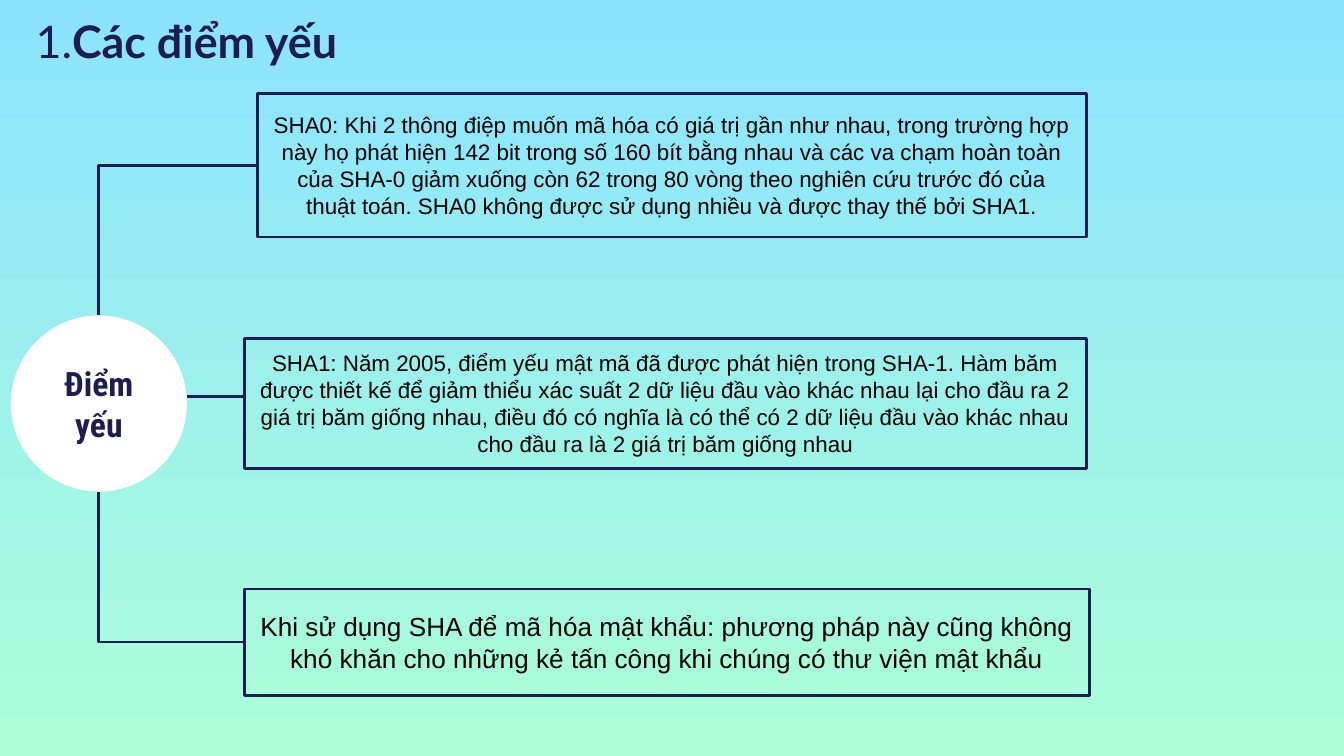
from pptx import Presentation
from pptx.dml.color import RGBColor
from pptx.enum.shapes import MSO_CONNECTOR as Connector, MSO_SHAPE as Shape
from pptx.enum.text import MSO_ANCHOR as Anchor, PP_ALIGN as Align
from pptx.oxml.ns import qn
from pptx.util import Pt
from lxml.etree import SubElement

TITLE = [("1.", False), ("Các điểm yếu", True)]
HUB = "Điểm yếu"
WEAKNESSES = [
    {"text": "SHA0: Khi 2 thông điệp muốn mã hóa có giá trị gần như nhau, trong trường hợp "
             "này họ phát hiện 142 bit trong số 160 bít bằng nhau và các va chạm hoàn toàn "
             "của SHA-0 giảm xuống còn 62 trong 80 vòng theo nghiên cứu trước đó của "
             "thuật toán. SHA0 không được sử dụng nhiều và được thay thế bởi SHA1.",
     "box": (138, 50, 444, 77), "size": "body"},
    {"text": "SHA1: Năm 2005, điểm yếu mật mã đã được phát hiện trong SHA-1. Hàm băm "
             "được thiết kế để giảm thiểu xác suất 2 dữ liệu đầu vào khác nhau lại cho đầu ra 2 "
             "giá trị băm giống nhau, điều đó có nghĩa là có thể có 2 dữ liệu đầu vào khác nhau "
             "cho đầu ra là 2 giá trị băm giống nhau",
     "box": (131, 181.2, 451, 69.8), "size": "body"},
    {"text": "Khi sử dụng SHA để mã hóa mật khẩu: phương pháp này cũng không "
             "khó khăn cho những kẻ tấn công khi chúng có thư viện mật khẩu",
     "box": (131, 315.5, 452.5, 57), "size": "large"},
]
TITLE_BOX = (12, 0, 479, 42.5)
HUB_BOX = (5.8, 169, 94.4, 94.4)
MIDDLE_LINK_Y = 212.4

THEME = {
    "sky": RGBColor.from_string("8BE3FF"),
    "mint": RGBColor.from_string("ACFFD9"),
    "navy": RGBColor.from_string("1F1C51"),
    "white": RGBColor.from_string("FFFFFF"),
    "black": RGBColor.from_string("000000"),
    "line": 1.5, "inset": 7.2,
    "title": 24, "hub": 18, "body": 12, "large": 14,
}


def write(shape, runs, font, size, color, align, anchor):
    frame = shape.text_frame
    frame.word_wrap = True
    frame.vertical_anchor = anchor
    frame.margin_left = frame.margin_right = Pt(THEME["inset"])
    frame.margin_top = frame.margin_bottom = Pt(THEME["inset"])
    paragraph = frame.paragraphs[0]
    paragraph.alignment = align
    for text, bold in runs:
        run = paragraph.add_run()
        run.text = text
        run.font.name = font
        run.font.size = Pt(THEME[size])
        run.font.bold = bold
        run.font.color.rgb = THEME[color]


def outline(shape):
    shape.line.color.rgb = THEME["navy"]
    shape.line.width = Pt(THEME["line"])


def add_box(slide, weakness):
    shape = slide.shapes.add_shape(Shape.RECTANGLE, *map(Pt, weakness["box"]))
    shape.shadow.inherit = False
    shape.fill.background()
    outline(shape)
    write(shape, [(weakness["text"], False)], "Arial", weakness["size"], "black",
          Align.CENTER, Anchor.MIDDLE)


def add_hub(slide):
    shape = slide.shapes.add_shape(Shape.OVAL, *map(Pt, HUB_BOX))
    shape.shadow.inherit = False
    shape.fill.solid()
    shape.fill.fore_color.rgb = THEME["white"]
    shape.line.fill.background()
    write(shape, [(HUB, True)], "Roboto Condensed", "hub", "navy", Align.CENTER, Anchor.MIDDLE)


def add_link(slide, kind, start, end):
    link = slide.shapes.add_connector(kind, *map(Pt, start + end))
    outline(link)
    properties = link._element.spPr
    SubElement(properties, qn("a:effectLst"))
    if kind == Connector.ELBOW:
        properties.find(qn("a:prstGeom")).set("prst", "bentConnector2")


def add_links(slide):
    left, top, width, height = HUB_BOX
    center = left + width / 2
    upper, middle, lower = [
        (box[0], box[1] + box[3] / 2) for box in (item["box"] for item in WEAKNESSES)]
    add_link(slide, Connector.ELBOW, upper, (center, top))
    add_link(slide, Connector.ELBOW, lower, (center, top + height))
    add_link(slide, Connector.STRAIGHT, (left + width, MIDDLE_LINK_Y), (middle[0], MIDDLE_LINK_Y))


def paint_background(slide):
    fill = slide.background.fill
    fill.gradient()
    fill.gradient_angle = 270
    for stop, position, color in zip(fill.gradient_stops, (0, 1), ("sky", "mint")):
        stop.position = position
        stop.color.rgb = THEME[color]


def main():
    """Build the slide on the weaknesses of SHA and save it."""
    presentation = Presentation()
    presentation.slide_width, presentation.slide_height = Pt(720), Pt(405)
    slide = presentation.slides.add_slide(presentation.slide_layouts[6])
    paint_background(slide)
    title = slide.shapes.add_textbox(*map(Pt, TITLE_BOX))
    write(title, TITLE, "Lato", "title", "navy", Align.LEFT, Anchor.TOP)
    add_hub(slide)
    add_links(slide)
    for weakness in WEAKNESSES:
        add_box(slide, weakness)
    presentation.save("out.pptx")


if __name__ == "__main__":
    main()
